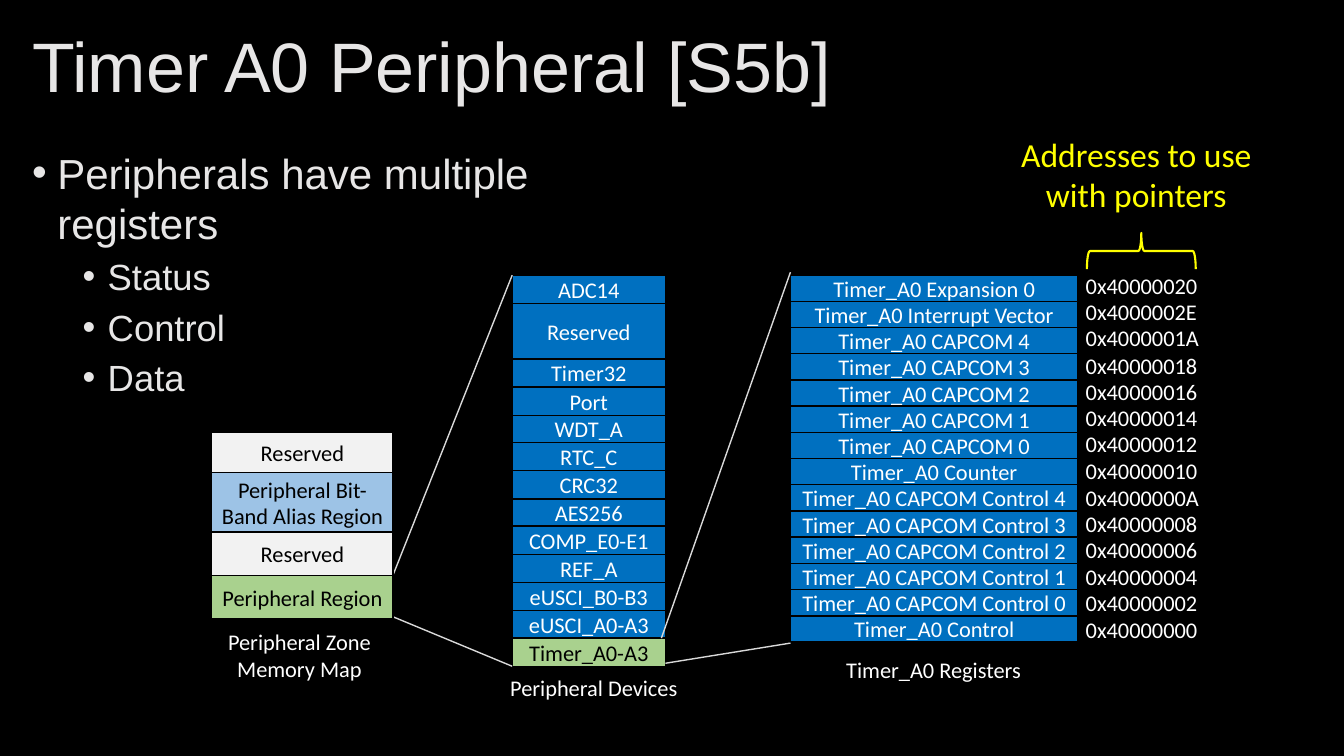
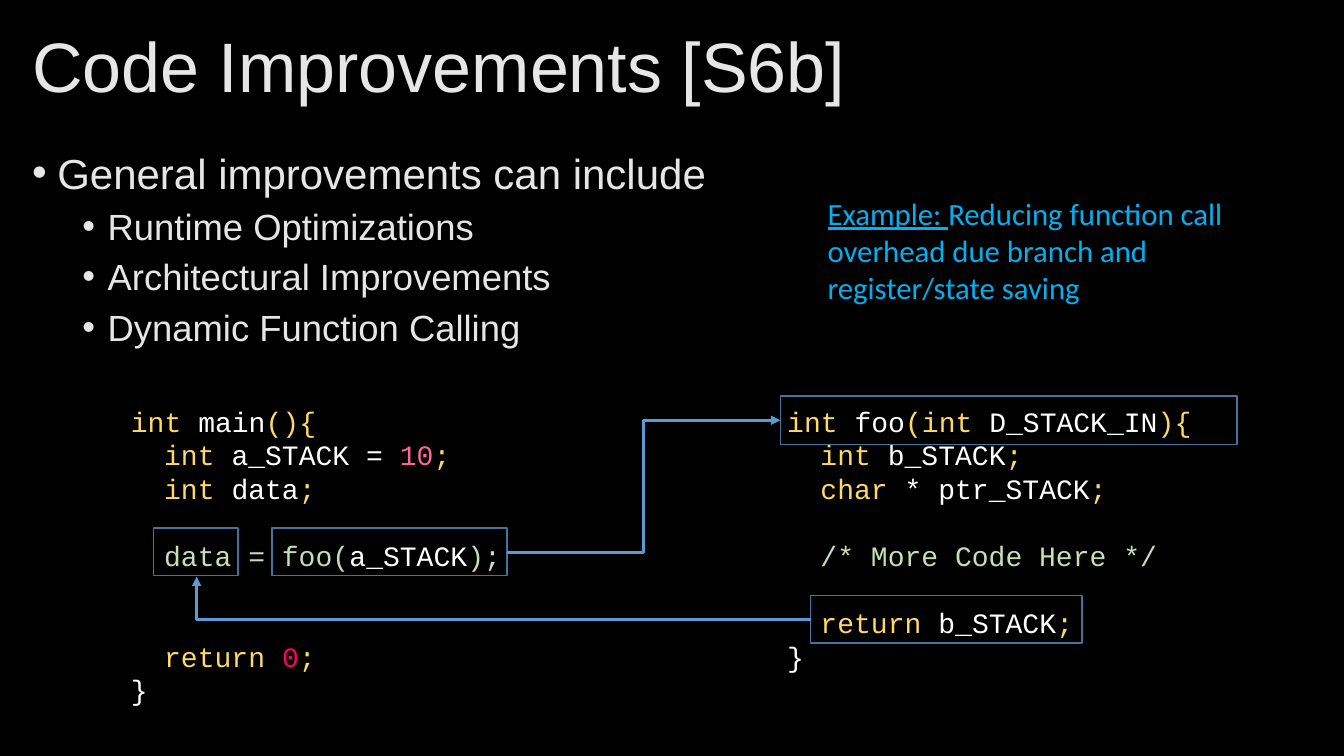
from dataclasses import dataclass
from itertools import accumulate
from typing import NamedTuple

from lxml.etree import SubElement
from pptx import Presentation
from pptx.dml.color import RGBColor
from pptx.enum.shapes import MSO_CONNECTOR, MSO_SHAPE
from pptx.enum.text import MSO_ANCHOR, PP_ALIGN
from pptx.oxml.ns import qn
from pptx.util import Emu, Pt

PX = 9144  # EMU per px, 100 px to the inch

BLACK, WHITE, PALE = "000000", "FFFFFF", "E7E6E6"
BLUE, SKY, GREEN, GREY = "0070C0", "9DC3E6", "A9D18E", "F2F2F2"
YELLOW, CYAN, GUIDE = "FFFF00", "00B0F0", "D9D9D9"
FRAME, ARROW = "43739E", "5B9BD5"
KEYWORD, CALL, NUMBER, RESULT = "FFD966", "C5E0B4", "FF6699", "FF0066"


class Box(NamedTuple):
    left: int
    top: int
    width: int
    height: int


class Span(NamedTuple):
    text: str
    color: str
    underline: bool = False


@dataclass(frozen=True)
class Para:
    spans: tuple[Span, ...]
    size: int = 16
    font: str = "Calibri"
    align: PP_ALIGN = PP_ALIGN.LEFT
    indent: int = 0
    hanging: int = 0
    before: int = 0
    line: float | Pt | None = None


class Cell(NamedTuple):
    label: str
    weight: int = 1
    fill: str = BLUE
    color: str = WHITE


class CodeLine(NamedTuple):
    level: int
    spans: tuple[Span, ...]
    skipped: int = 0


def px(length: int) -> Emu:
    return Emu(length * PX)


def rgb(color: str) -> RGBColor:
    return RGBColor.from_string(color)


def plain(text: str, color: str = WHITE, **style) -> Para:
    return Para((Span(text, color),), **style)


def fill_text(frame, paras: list[Para], anchor=MSO_ANCHOR.TOP) -> None:
    frame.word_wrap = True
    frame.vertical_anchor = anchor
    for number, item in enumerate(paras):
        para = frame.add_paragraph() if number else frame.paragraphs[0]
        para.alignment = item.align
        para.font.size = Pt(item.size)
        para.font.name = item.font
        if item.before:
            para.space_before = Pt(item.before)
        if item.line:
            para.line_spacing = item.line
        properties = para._p.get_or_add_pPr()
        properties.set("marL", str(px(item.indent)))
        properties.set("indent", str(px(-item.hanging)))
        if item.hanging:
            SubElement(properties, qn("a:buFont")).set("typeface", "Arial")
            SubElement(properties, qn("a:buChar")).set("char", "•")
            # Keep the default run properties after the bullet
            defaults = properties.find(qn("a:defRPr"))
            if defaults is not None:
                properties.append(defaults)
        for span in item.spans:
            run = para.add_run()
            run.text = span.text
            run.font.size = Pt(item.size)
            run.font.name = item.font
            run.font.color.rgb = rgb(span.color)
            if span.underline:
                run.font.underline = True


def add_text(page, box: Box, paras: list[Para], anchor=MSO_ANCHOR.TOP) -> None:
    shape = page.shapes.add_textbox(*map(px, box))
    fill_text(shape.text_frame, paras, anchor)


def add_shape(page, kind, box: Box, line: str, width: float = 1,
              fill: str | None = None):
    shape = page.shapes.add_shape(kind, *map(px, box))
    shape.shadow.inherit = False
    shape.line.color.rgb = rgb(line)
    shape.line.width = Pt(width)
    if fill:
        shape.fill.solid()
        shape.fill.fore_color.rgb = rgb(fill)
    else:
        shape.fill.background()
    return shape


def add_line(page, start: tuple[int, int], end: tuple[int, int], color: str,
             width: float = 1, kind=MSO_CONNECTOR.STRAIGHT, arrow: bool = False):
    line = page.shapes.add_connector(kind, *map(px, start + end))
    line.line.color.rgb = rgb(color)
    line.line.width = Pt(width)
    if arrow:
        SubElement(line.line._get_or_add_ln(), qn("a:tailEnd")).set("type", "triangle")
    SubElement(line._element.spPr, qn("a:effectLst"))
    return line


def add_stack(page, box: Box, cells: list[Cell]) -> None:
    """Stack cells from top to bottom, sharing the height by weight."""
    total = sum(cell.weight for cell in cells)
    edges = [box.top + round(box.height * part / total)
             for part in accumulate((cell.weight for cell in cells), initial=0)]
    for cell, top, bottom in zip(cells, edges, edges[1:]):
        place = Box(box.left, top, box.width, bottom - top)
        shape = add_shape(page, MSO_SHAPE.RECTANGLE, place, BLACK, fill=cell.fill)
        shape.text_frame.margin_left = shape.text_frame.margin_right = px(8)
        label = plain(cell.label, cell.color, align=PP_ALIGN.CENTER)
        fill_text(shape.text_frame, [label], MSO_ANCHOR.MIDDLE)


def add_caption(page, box: Box, *lines: str) -> None:
    add_text(page, box, [plain(line, align=PP_ALIGN.CENTER) for line in lines])


def add_code(page, box: Box, lines: list[CodeLine]) -> None:
    add_text(page, box, [
        Para(line.spans, 20, "Courier New", indent=33 * line.level,
             before=24 * line.skipped, line=Pt(24)) for line in lines])


def add_page(deck, title: str, width: int, lead: str, points: list[str]):
    """Black page with its title and two-level bullets."""
    page = deck.slides.add_slide(deck.slide_layouts[6])
    page.background.fill.solid()
    page.background.fill.fore_color.rgb = rgb(BLACK)
    heading = plain(title, PALE, size=50, font="Arial", line=0.9)
    add_text(page, Box(22, 21, 1289, 97), [heading], MSO_ANCHOR.MIDDLE)
    bullets = [plain(lead, PALE, size=30, font="Arial", indent=25, hanging=25,
                     before=10, line=Pt(36))]
    bullets += [plain(point, PALE, size=26, font="Arial", indent=75, hanging=25,
                      before=5, line=Pt(31)) for point in points]
    add_text(page, Box(22, 141, width, 213), bullets)
    return page


def build_timer_page(deck) -> None:
    page = add_page(deck, "Timer A0 Peripheral [S5b]", 672,
                    "Peripherals have multiple registers",
                    ["Status", "Control", "Data"])

    # Peripheral devices
    devices = ["Timer32", "Port", "WDT_A", "RTC_C", "CRC32", "AES256",
               "COMP_E0-E1", "REF_A", "eUSCI_B0-B3", "eUSCI_A0-A3"]
    add_stack(page, Box(508, 273, 152, 388), [
        Cell("ADC14"), Cell("Reserved", 2), *map(Cell, devices),
        Cell("Timer_A0-A3", 1, GREEN, BLACK)])
    add_caption(page, Box(479, 664, 220, 37), "Peripheral Devices")

    # Timer registers and their addresses
    registers = ["Expansion 0", "Interrupt Vector",
                 *(f"CAPCOM {n}" for n in range(4, -1, -1)), "Counter",
                 *(f"CAPCOM Control {n}" for n in range(4, -1, -1)), "Control"]
    add_stack(page, Box(784, 273, 285, 364),
              [Cell(f"Timer_A0 {name}") for name in registers])
    add_caption(page, Box(816, 646, 220, 37), "Timer_A0 Registers")
    offsets = ["20", "2E", "1A", "18", "16", "14", "12", "10",
               "0A", "08", "06", "04", "02", "00"]
    for row, offset in enumerate(offsets):
        top = 265 + round(row * 341 / 13)
        add_text(page, Box(1067, top, 150, 37), [plain(f"0x400000{offset}")])

    # Zoom lines from each column to the next
    for start, end in [((390, 570), (508, 273)), ((390, 612), (508, 661)),
                       ((656, 633), (784, 270)), ((660, 658), (784, 638))]:
        add_line(page, start, end, GUIDE)

    # Peripheral zone memory map
    add_caption(page, Box(190, 618, 214, 64), "Peripheral Zone", "Memory Map")
    add_stack(page, Box(210, 429, 180, 185), [
        Cell("Reserved", 40, GREY, BLACK),
        Cell("Peripheral Bit-Band Alias Region", 59, SKY, BLACK),
        Cell("Reserved", 43, GREY, BLACK),
        Cell("Peripheral Region", 43, GREEN, BLACK)])

    # Brace over the addresses
    brace = add_shape(page, MSO_SHAPE.RIGHT_BRACE, Box(1114, 195, 36, 108), YELLOW, 1.5)
    brace.rotation = 270
    add_text(page, Box(982, 128, 290, 91), [
        plain("Addresses to use with pointers", YELLOW, size=24,
              align=PP_ALIGN.CENTER)])


def build_code_page(deck) -> None:
    page = add_page(deck, "Code Improvements [S6b]", 866,
                    "General improvements can include",
                    ["Runtime Optimizations", "Architectural Improvements",
                     "Dynamic Function Calling"])
    end = Span(";", KEYWORD)
    integer = Span("int ", KEYWORD)
    give_back = Span("return ", KEYWORD)
    close = CodeLine(0, (Span("}", WHITE),))

    # Caller
    add_code(page, Box(120, 396, 621, 313), [
        CodeLine(0, (integer, Span("main", WHITE), Span("(){", KEYWORD))),
        CodeLine(1, (integer, Span("a_STACK = ", WHITE), Span("10", NUMBER), end)),
        CodeLine(1, (integer, Span("data", WHITE), end)),
        CodeLine(1, (Span("data = foo(", CALL), Span("a_STACK", WHITE),
                     Span(");", CALL)), 1),
        CodeLine(1, (give_back, Span("0", RESULT), end), 2),
        close])

    # Called function
    add_code(page, Box(771, 396, 440, 279), [
        CodeLine(0, (integer, Span("foo", WHITE), Span("(int ", KEYWORD),
                     Span("D_STACK_IN", WHITE), Span("){", KEYWORD))),
        CodeLine(1, (integer, Span("b_STACK", WHITE), end)),
        CodeLine(1, (Span("char", KEYWORD), Span(" * ptr_STACK", WHITE), end)),
        CodeLine(1, (Span("/* More Code Here */", CALL),), 1),
        CodeLine(1, (give_back, Span("b_STACK", WHITE), end), 1),
        close])

    # Frames around the linked code
    for box in [Box(152, 524, 84, 47), Box(270, 524, 233, 47),
                Box(774, 393, 453, 48), Box(804, 591, 269, 47)]:
        add_shape(page, MSO_SHAPE.RECTANGLE, box, FRAME)

    # Call and return arrows
    add_line(page, (503, 548), (774, 417), ARROW, 2.25, MSO_CONNECTOR.ELBOW, True)
    back = add_line(page, (804, 615), (195, 572), ARROW, 2.25,
                    MSO_CONNECTOR.ELBOW, True)
    properties = back._element.spPr
    properties.find(qn("a:prstGeom")).set("prst", "bentConnector2")
    frame = properties.find(qn("a:xfrm"))
    for flip in ("flipH", "flipV"):
        frame.attrib.pop(flip, None)
    frame.set("rot", "10800000")

    # Example note
    add_text(page, Box(811, 188, 416, 121), [Para((
        Span("Example: ", CYAN, True),
        Span("Reducing function call overhead due branch and "
             "register/state saving", CYAN)), 22)])


def main() -> None:
    deck = Presentation()
    deck.slide_width, deck.slide_height = px(1333), px(750)
    build_timer_page(deck)
    build_code_page(deck)
    deck.save("out.pptx")


if __name__ == "__main__":
    main()
